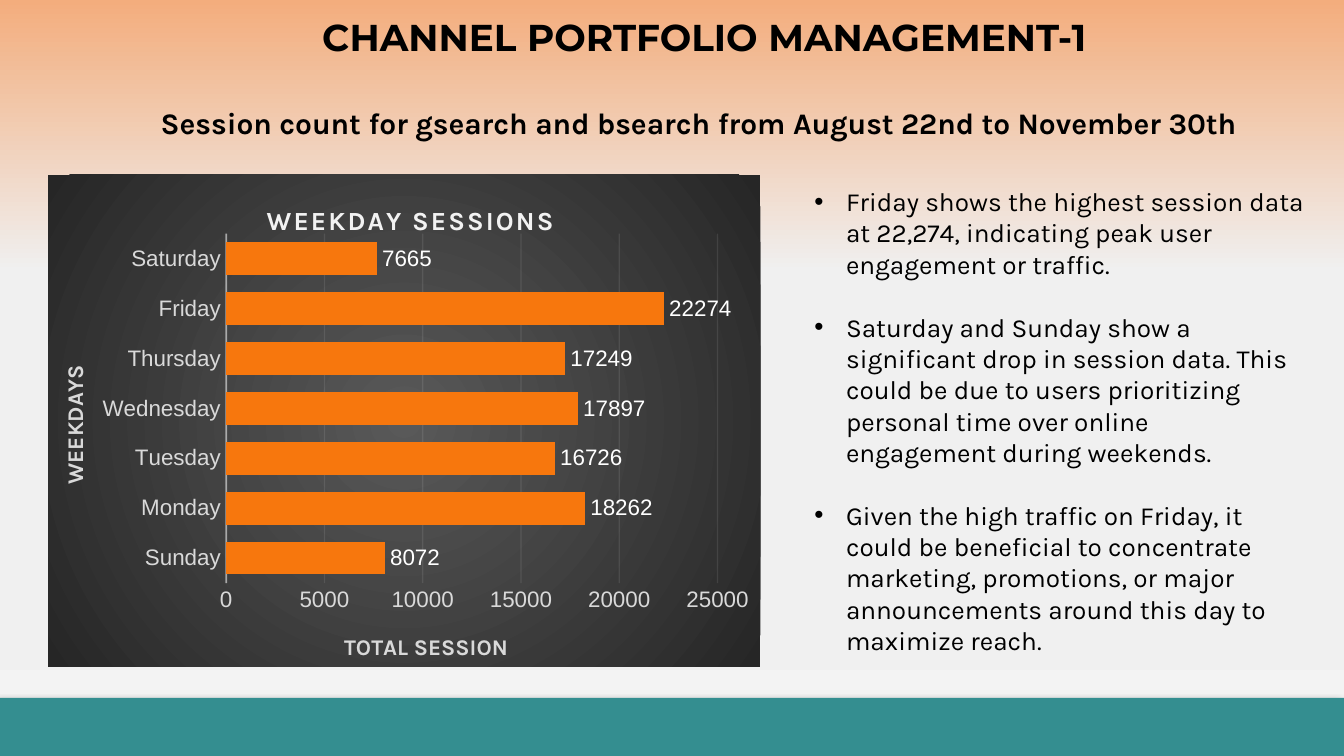
from dataclasses import dataclass

from pptx import Presentation
from pptx.chart.data import CategoryChartData
from pptx.dml.color import RGBColor
from pptx.enum.chart import XL_CHART_TYPE, XL_LABEL_POSITION, XL_TICK_MARK
from pptx.enum.shapes import MSO_SHAPE
from pptx.enum.text import MSO_AUTO_SIZE, PP_ALIGN
from pptx.oxml import parse_xml
from pptx.oxml.ns import nsdecls, qn
from pptx.util import Cm, Pt


@dataclass(frozen=True)
class Theme:
    ink: str = "000000"
    teal: str = "348E90"
    bar: str = "F7770D"
    white: str = "FFFFFF"
    pale: str = "F2F2F2"
    soft: str = "D9D9D9"
    page: tuple = ((0, "F3AD7D"), (36, "F0F0F0"), (83, "F0F0F0"), (100, "F5F5F5"))
    panel: tuple = ((0, "595959"), (100, "262626"))
    head: str = "Montserrat"
    body: str = "Karla"
    plain: str = "Arial"
    big: int = 20
    mid: int = 16
    text: int = 14
    small: int = 12
    tiny: int = 10


THEME = Theme()
WIDE, HIGH = 25.4, 14.29
DAYS = {
    "Sunday": 8072,
    "Monday": 18262,
    "Tuesday": 16726,
    "Wednesday": 17897,
    "Thursday": 17249,
    "Friday": 22274,
    "Saturday": 7665,
}
POINTS = (
    "Friday shows the highest session data at 22,274, indicating peak user "
    "engagement or traffic.",
    "Saturday and Sunday show a significant drop in session data. This could be "
    "due to users prioritizing personal time over online engagement during weekends.",
    "Given the high traffic on Friday, it could be beneficial to concentrate "
    "marketing, promotions, or major announcements around this day to maximize reach.",
)
CENTRE = '<a:path path="circle"><a:fillToRect l="50000" t="50000" r="50000" b="50000"/></a:path>'


def place(box):
    return [Cm(side) for side in box]


def style(font, size, face, tint, bold=False):
    font.size, font.name, font.bold = Pt(size), face, bold
    font.color.rgb = RGBColor.from_string(tint)


def write(para, text, size=THEME.text, face=THEME.body, tint=THEME.ink,
          bold=False, align=None, track=None):
    run = para.add_run()
    run.text = text
    style(run.font, size, face, tint, bold)
    if align is not None:
        para.alignment = align
    if track:
        run.font._element.set("spc", str(track))


def blend(stops, shape):
    marks = "".join(
        f'<a:gs pos="{pos * 1000}"><a:srgbClr val="{tint}"/></a:gs>' for pos, tint in stops)
    return f'<a:gradFill rotWithShape="1"><a:gsLst>{marks}</a:gsLst>{shape}</a:gradFill>'


def paint(slide):
    fill = blend(THEME.page, '<a:lin ang="5400000" scaled="0"/>')
    slide.element.cSld.insert(0, parse_xml(
        f'<p:bg {nsdecls("p", "a")}><p:bgPr>{fill}<a:effectLst/></p:bgPr></p:bg>'))


def add_text(slide, box):
    frame = slide.shapes.add_textbox(*place(box)).text_frame
    frame.word_wrap = True
    frame.auto_size = MSO_AUTO_SIZE.SHAPE_TO_FIT_TEXT
    return frame


def add_head(slide, box, text, **form):
    write(add_text(slide, box).paragraphs[0], text, **form)


def add_notes(slide, box):
    frame = add_text(slide, box)
    for rank, text in enumerate(POINTS):
        para = frame.add_paragraph() if rank else frame.paragraphs[0]
        props = para._p.get_or_add_pPr()
        props.set("marL", str(Cm(0.6)))
        props.set("indent", str(-Cm(0.6)))
        props.append(parse_xml(f'<a:buFont {nsdecls("a")} typeface="{THEME.plain}"/>'))
        props.append(parse_xml(f'<a:buChar {nsdecls("a")} char="•"/>'))
        if rank:
            para.space_before = Pt(16.8)
        write(para, text)


def add_foot(slide, box):
    bar = slide.shapes.add_shape(MSO_SHAPE.RECTANGLE, *place(box))
    bar.fill.solid()
    bar.fill.fore_color.rgb = RGBColor.from_string(THEME.teal)
    bar.line.fill.background()
    bar.shadow.inherit = False
    bar.element.spPr.find(qn("a:effectLst")).append(parse_xml(
        f'<a:outerShdw {nsdecls("a")} blurRad="{Pt(4)}" dist="{Pt(3)}" dir="8100000" '
        f'algn="tr" rotWithShape="0"><a:srgbClr val="{THEME.ink}">'
        '<a:alpha val="40000"/></a:srgbClr></a:outerShdw>'))


def lay_out(node, rank, kind="", **spots):
    old = node.find(qn("c:layout"))
    if old is not None:
        node.remove(old)
    modes = "".join(f'<c:{key}Mode val="edge"/>' for key in "xy")
    sizes = "".join(f'<c:{key} val="{spot}"/>' for key, spot in spots.items())
    node.insert(rank, parse_xml(
        f'<c:layout {nsdecls("c")}><c:manualLayout>{kind}{modes}{sizes}'
        '</c:manualLayout></c:layout>'))


def name_part(title, text, left, top, **form):
    write(title.text_frame.paragraphs[0], text, bold=True, **form)
    lay_out(title.element, 1, x=left, y=top)


def rule(line, width, alpha):
    line.width = Pt(width)
    line.color.rgb = RGBColor.from_string(THEME.pale)
    for tint in line.fill._xPr.iter(qn("a:srgbClr")):
        tint.append(parse_xml(f'<a:alpha {nsdecls("a")} val="{alpha * 1000}"/>'))


def add_bars(slide, box):
    data = CategoryChartData()
    data.categories = list(DAYS)
    data.add_series("Series 1", list(DAYS.values()))
    chart = slide.shapes.add_chart(XL_CHART_TYPE.BAR_CLUSTERED, *place(box), data).chart
    style(chart.font, THEME.tiny, THEME.plain, THEME.ink)
    chart.has_legend = False
    chart.element.find(qn("c:chart")).addnext(parse_xml(
        f'<c:spPr {nsdecls("c", "a")}>{blend(THEME.panel, CENTRE)}'
        '<a:ln><a:noFill/></a:ln></c:spPr>'))
    area = next(chart.element.iter(qn("c:plotArea")))
    lay_out(area, 0, '<c:layoutTarget val="inner"/>', x=0.25, y=0.12, w=0.69, h=0.71)

    days, count = chart.category_axis, chart.value_axis
    for axis in (days, count):
        axis.major_tick_mark = axis.minor_tick_mark = XL_TICK_MARK.NONE
        style(axis.tick_labels.font, THEME.small, THEME.plain, THEME.soft)
    days.has_major_gridlines = False
    rule(days.format.line, 1, 54)
    count.minimum_scale, count.maximum_scale, count.major_unit = 0, 25000, 5000
    count.format.line.fill.background()
    count.has_major_gridlines = True
    rule(count.major_gridlines.format.line, 0.75, 10)

    name_part(chart.chart_title, "WEEKDAY SESSIONS", 0.3, 0.05, tint=THEME.pale, track=100)
    label = dict(size=THEME.small, tint=THEME.soft)
    name_part(days.axis_title, "WEEKDAYS", 0.01, 0.38, **label)
    name_part(count.axis_title, "TOTAL SESSION", 0.41, 0.92, **label)
    turn = next(days.axis_title.element.iter(qn("a:bodyPr")))
    turn.set("rot", "-5400000")
    turn.set("vert", "horz")

    plot = chart.plots[0]
    plot.gap_width, plot.overlap = 53, -20
    plot.vary_by_categories = False
    fill = plot.series[0].format.fill
    fill.solid()
    fill.fore_color.rgb = RGBColor.from_string(THEME.bar)
    marks = plot.series[0].data_labels
    marks.show_value = True
    marks.position = XL_LABEL_POSITION.OUTSIDE_END
    style(marks.font, THEME.small, THEME.plain, THEME.white)


def main():
    deck = Presentation()
    deck.slide_width, deck.slide_height = Cm(WIDE), Cm(HIGH)
    slide = deck.slides.add_slide(deck.slide_layouts[6])
    paint(slide)
    add_foot(slide, (0, 13.19, WIDE, 1.1))
    add_bars(slide, (0.91, 3.3, 13.46, 9.32))
    add_notes(slide, (15.14, 3.38, 9.78, 8.03))
    add_head(slide, (0.81, 1.85, 24.8, 0.94),
             "Session count for gsearch and bsearch from August 22nd to November 30th",
             size=THEME.mid, bold=True, align=PP_ALIGN.CENTER)
    add_head(slide, (5.84, 0.15, 16.4, 1.12), "CHANNEL PORTFOLIO MANAGEMENT-1",
             size=THEME.big, face=THEME.head, bold=True)
    deck.save("out.pptx")


if __name__ == "__main__":
    main()
